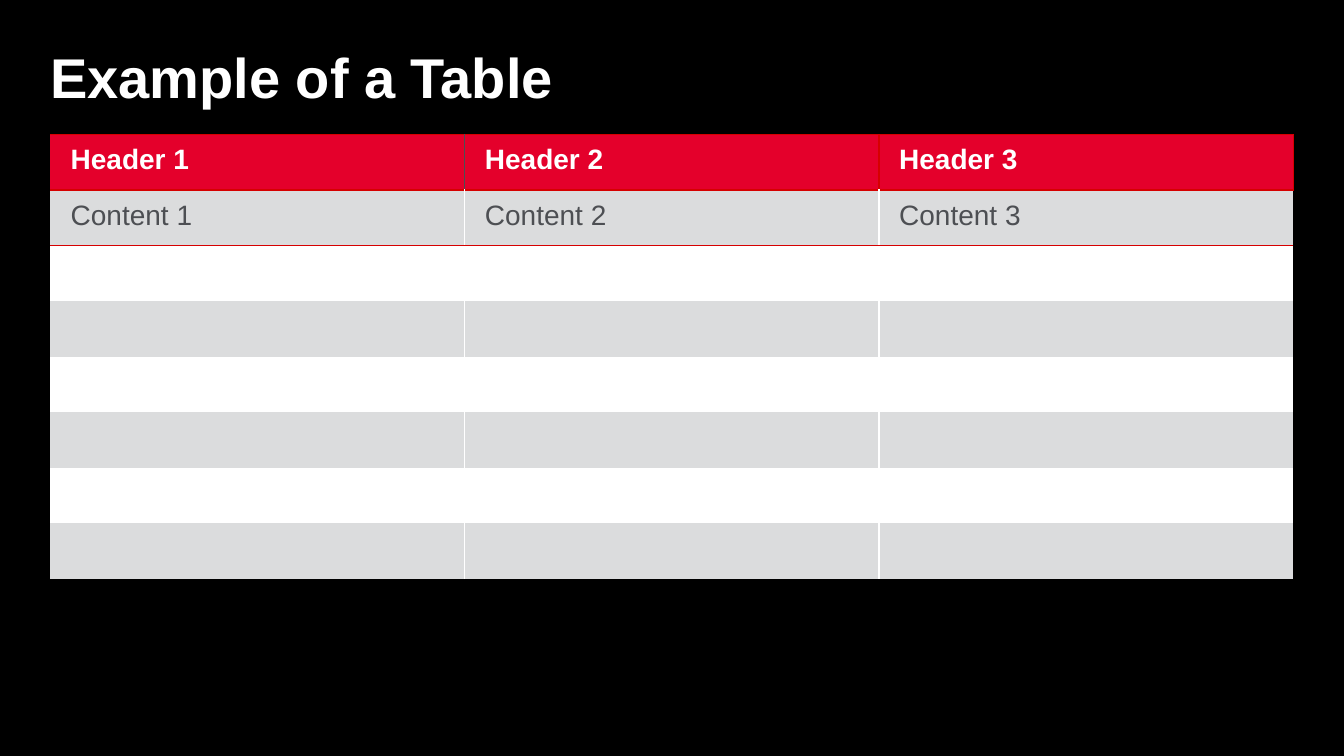
from lxml import etree
from pptx import Presentation
from pptx.dml.color import RGBColor
from pptx.oxml.ns import qn
from pptx.util import Cm, Pt

# Content
TITLE = "Example of a Table"
HEADERS = ["Header 1", "Header 2", "Header 3"]
CONTENTS = ["Content 1", "Content 2", "Content 3"]
EMPTY_ROWS = 6
ROWS = [HEADERS, CONTENTS] + [[""] * len(HEADERS)] * EMPTY_ROWS

# Style
FONT = "Arial"
BLACK = RGBColor(0x00, 0x00, 0x00)
WHITE = RGBColor(0xFF, 0xFF, 0xFF)
RED = RGBColor(0xE4, 0x00, 0x2B)
DARK_RED = RGBColor(0xD6, 0x00, 0x00)
GREY = RGBColor(0x4D, 0x4F, 0x53)
LIGHT_GREY = RGBColor(0xDB, 0xDC, 0xDD)
HEADER_DIVIDERS = [GREY, DARK_RED]
NO_STYLE = "{2D5ABB26-0587-4C30-8999-92F81FD0307C}"

# Layout
COL_W, ROW_H = Cm(10.44), Cm(1.4)
TABLE_LEFT, TABLE_TOP = Cm(1.27), Cm(3.39)
TITLE_PAD = Cm(0.42)
CELL_PAD_X, CELL_PAD_Y = Cm(0.51), Cm(0.25)


def add_run(p, text, size, color, bold):
    r = p.add_run()
    r.text = text
    r.font.name = FONT
    r.font.size = Pt(size)
    r.font.bold = bold
    r.font.color.rgb = color


def set_borders(cell, **colors):
    tcPr = cell._tc.get_or_add_tcPr()
    for side in "LRTB":
        if colors.get(side) is not None:
            ln = etree.SubElement(tcPr, qn("a:ln" + side), w=str(Pt(1)))
            fill = etree.SubElement(ln, qn("a:solidFill"))
            etree.SubElement(fill, qn("a:srgbClr"), val=str(colors[side]))


prs = Presentation()
prs.slide_width, prs.slide_height = Cm(33.87), Cm(19.05)
s = prs.slides.add_slide(prs.slide_layouts[6])
s.background.fill.solid()
s.background.fill.fore_color.rgb = BLACK

# Title
tf = s.shapes.add_textbox(Cm(0.85), Cm(0.85), Cm(32.17), Cm(2.41)).text_frame
tf.word_wrap = True
tf.margin_left = tf.margin_right = tf.margin_top = tf.margin_bottom = TITLE_PAD
p = tf.paragraphs[0]
p.line_spacing = 0.9
add_run(p, TITLE, 40, WHITE, True)

# Table
n_rows, n_cols = len(ROWS), len(HEADERS)
table = s.shapes.add_table(n_rows, n_cols, TABLE_LEFT, TABLE_TOP,
                           COL_W * n_cols, ROW_H * n_rows).table
table._tbl.tblPr.find(qn("a:tableStyleId")).text = NO_STYLE
for col in table.columns:
    col.width = COL_W
for row in table.rows:
    row.height = ROW_H

for i, texts in enumerate(ROWS):
    header = i == 0
    dividers = HEADER_DIVIDERS if header else [WHITE] * (n_cols - 1)
    outer = DARK_RED if header else None
    edges = [None, *dividers, outer]
    for j, text in enumerate(texts):
        cell = table.cell(i, j)
        cell.margin_left = cell.margin_right = CELL_PAD_X
        cell.margin_top = cell.margin_bottom = CELL_PAD_Y
        set_borders(cell, L=edges[j], R=edges[j + 1],
                    T=DARK_RED if i < 2 else None, B=outer)
        cell.fill.solid()
        cell.fill.fore_color.rgb = RED if header else LIGHT_GREY if i % 2 else WHITE
        p = cell.text_frame.paragraphs[0]
        if text:
            add_run(p, text, 20, WHITE if header else GREY, header)
        else:
            p.font.size = Pt(20)

prs.save("out.pptx")
